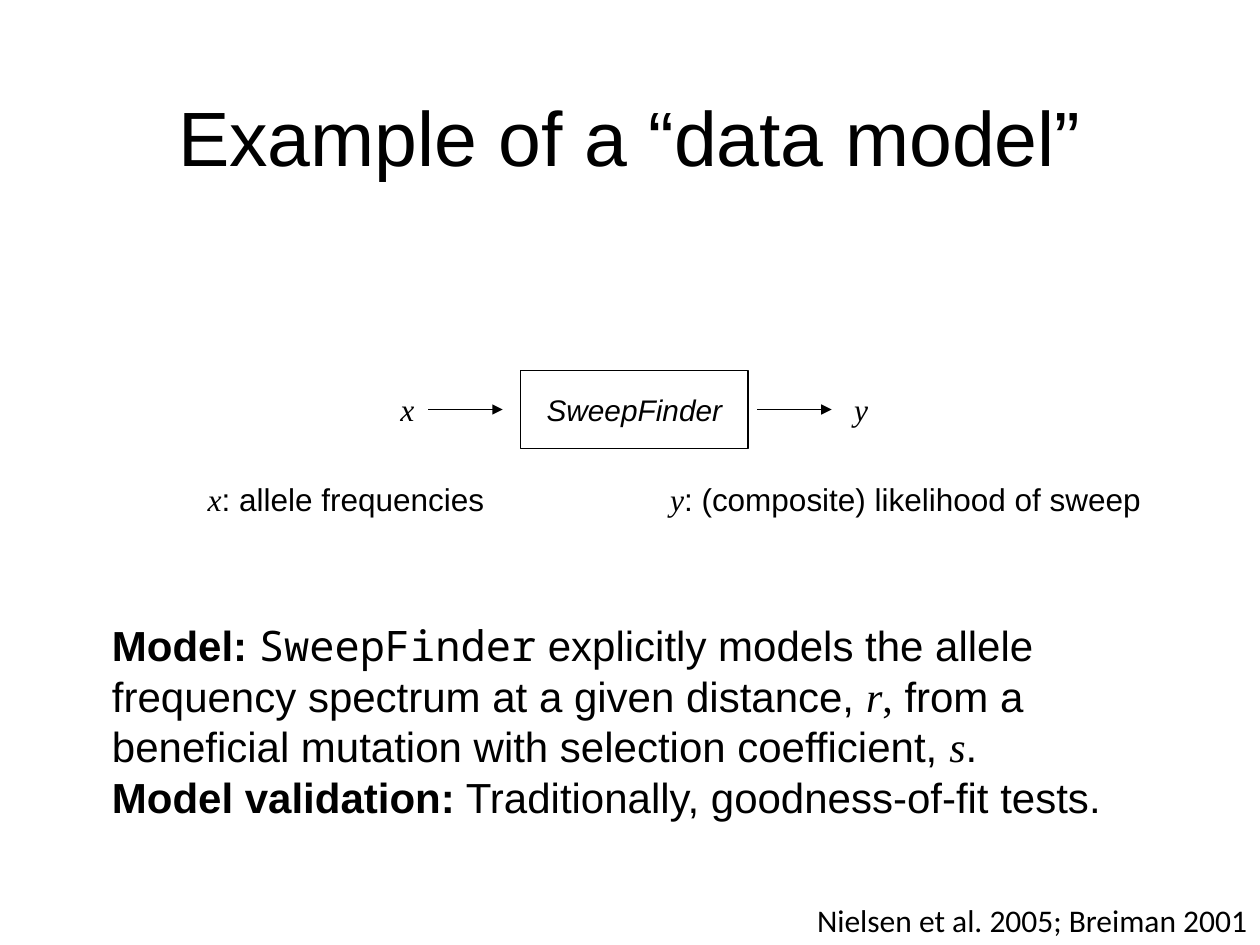
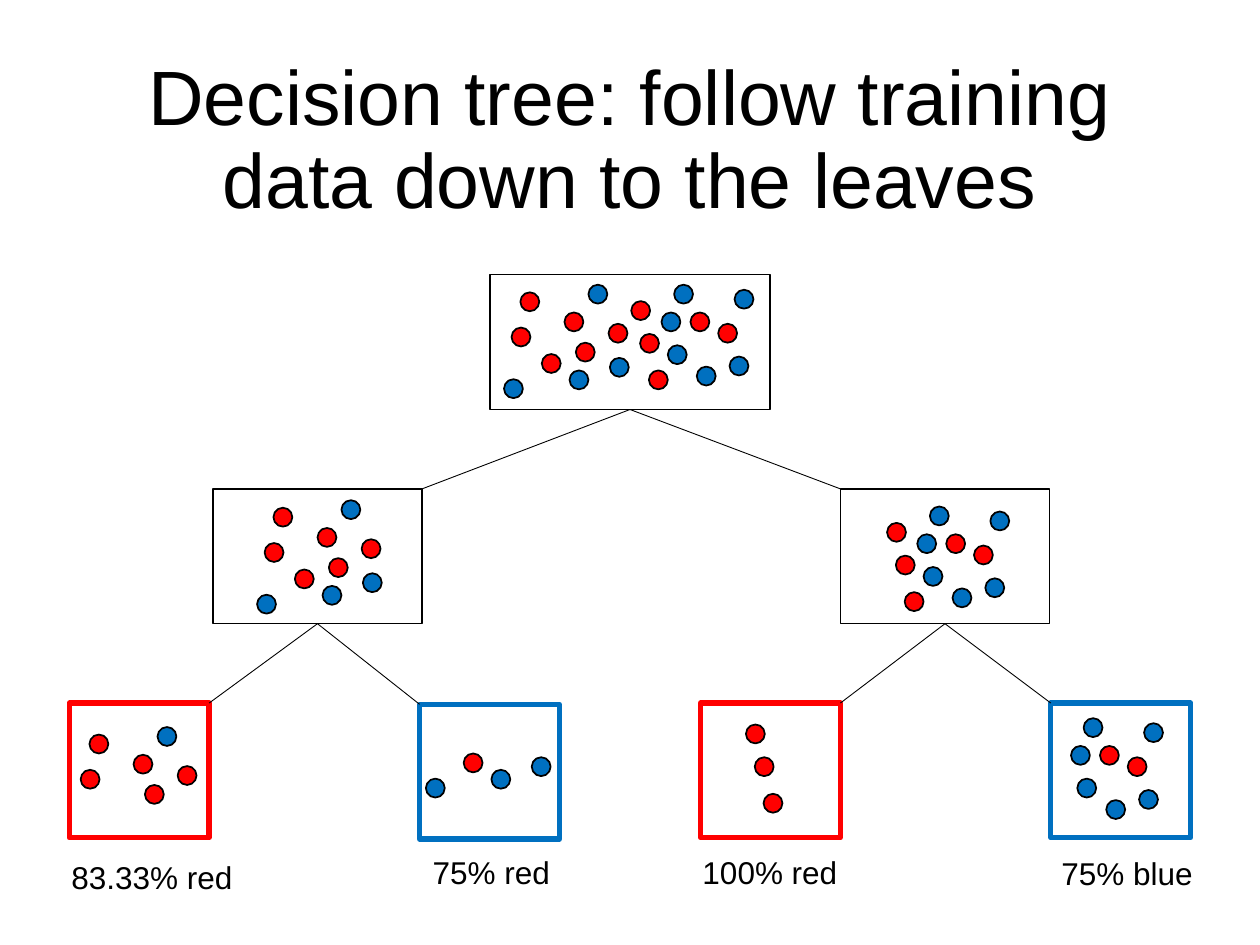
from lxml import etree
from pptx import Presentation
from pptx.dml.color import RGBColor
from pptx.enum import shapes, text
from pptx.oxml.ns import qn
from pptx.util import Pt

PX = 9144
BLACK, WHITE, RED, BLUE = "000000", "FFFFFF", "FF0000", "0070C0"
SANS, SERIF, MONO, FOOTER = "Arial", "Times New Roman", "Noto Sans Mono", "Calibri"
LEFT, CENTER, RIGHT = text.PP_ALIGN.LEFT, text.PP_ALIGN.CENTER, text.PP_ALIGN.RIGHT
color = RGBColor.from_string


def write(frame, lines, size, align=LEFT, wrap=False):
    frame.word_wrap = wrap
    for number, line in enumerate(lines):
        paragraph = frame.add_paragraph() if number else frame.paragraphs[0]
        paragraph.alignment = align
        for words, font, style in line:
            run = paragraph.add_run()
            run.text = words
            run.font.name = font
            run.font.size = Pt(size)
            run.font.bold = style == "bold"
            run.font.italic = style == "italic"
            run.font.color.rgb = color(BLACK)


def outline(item, line, width, fill=None):
    item.line.color.rgb = color(line)
    item.line.width = Pt(width)
    if fill:
        item.fill.solid()
        item.fill.fore_color.rgb = color(fill)
        item.shadow.inherit = False
    else:
        etree.SubElement(item._element.spPr, qn("a:effectLst"))


deck = Presentation()
deck.slide_width, deck.slide_height = 1000 * PX, 750 * PX
pages = []
for heading in ("Example of a “data model”", "Decision tree: follow training data down to the leaves"):
    page = deck.slides.add_slide(deck.slide_layouts[6])
    title = page.shapes.add_textbox(69 * PX, 40 * PX, 862 * PX, 145 * PX).text_frame
    write(title, [[(heading, SANS, "")]], 44, CENTER, True)
    title.vertical_anchor = text.MSO_ANCHOR.MIDDLE
    title.paragraphs[0].line_spacing = 0.9
    pages.append(page)
model, tree = pages

explanation = [
    [
        ("Model: ", SANS, "bold"),
        ("SweepFinder", MONO, ""),
        (" explicitly models the allele frequency spectrum at a given distance, ", SANS, ""),
        ("r", SERIF, "italic"),
        (",", SERIF, ""),
        (" from a beneficial mutation with selection coefficient, ", SANS, ""),
        ("s", SERIF, "italic"),
        (".", SANS, ""),
    ],
    [
        ("Model validation:", SANS, "bold"),
        (" Traditionally, goodness-of-fit tests.", SANS, ""),
    ],
]
x, y = ("x", SERIF, "italic"), ("y", SERIF, "italic")
for left, top, width, height, lines, size, align, wrap in (
    (634, 710, 366, 40, [[("Nielsen et al. 2005; Breiman 2001", FOOTER, "")]], 18, RIGHT, False),
    (79, 487, 852, 172, explanation, 24, LEFT, True),
    (155, 376, 242, 40, [[x, (": allele frequencies", SANS, "")]], 18, LEFT, False),
    (522, 376, 397, 40, [[y, (": (composite) likelihood of sweep", SANS, "")]], 18, LEFT, False),
    (308, 305, 31, 40, [[x]], 18, LEFT, False),
    (668, 305, 31, 40, [[y]], 18, LEFT, False),
):
    words = model.shapes.add_textbox(left * PX, top * PX, width * PX, height * PX)
    write(words.text_frame, lines, size, align, wrap)

finder = model.shapes.add_shape(shapes.MSO_SHAPE.RECTANGLE, 413 * PX, 294 * PX, 181 * PX, 62 * PX)
outline(finder, BLACK, 1, WHITE)
write(finder.text_frame, [[("SweepFinder", SANS, "italic")]], 17, CENTER)
finder.text_frame.vertical_anchor = text.MSO_ANCHOR.MIDDLE
for start in (340, 601):
    flow = model.shapes.add_connector(
        shapes.MSO_CONNECTOR.STRAIGHT, start * PX, 325 * PX, (start + 59) * PX, 325 * PX)
    outline(flow, BLACK, 0.5)
    etree.SubElement(flow._element.spPr.find(qn("a:ln")), qn("a:tailEnd"), type="triangle")

nodes = {}
for name, left, top, width, border, weight in (
    ("root", 389, 218, 222, BLACK, 1),
    ("left", 169, 388, 166, BLACK, 1),
    ("right", 667, 388, 166, BLACK, 1),
    ("leaf 1", 55, 558, 111, RED, 3),
    ("leaf 2", 333, 559, 111, BLUE, 3),
    ("leaf 3", 556, 558, 111, RED, 3),
    ("leaf 4", 834, 558, 111, BLUE, 3),
):
    nodes[name] = tree.shapes.add_shape(
        shapes.MSO_SHAPE.RECTANGLE, left * PX, top * PX, width * PX, 107 * PX)
    outline(nodes[name], border, weight, WHITE)

for parent_name, child_name in (
    ("root", "left"), ("root", "right"),
    ("left", "leaf 1"), ("left", "leaf 2"),
    ("right", "leaf 3"), ("right", "leaf 4"),
):
    parent, child = nodes[parent_name], nodes[child_name]
    corner = child.left if child.left > parent.left else child.left + child.width
    branch = tree.shapes.add_connector(
        shapes.MSO_CONNECTOR.STRAIGHT, parent.left, parent.top, corner, child.top)
    branch.begin_connect(parent, 2)
    outline(branch, BLACK, 0.5)

to_left, to_right = (-196, 171), (203, 176)
samples = (
    (to_left, (-342, 351),
     [(413, 232), (448, 248), (483, 257), (406, 260), (457, 272)],
     [(467, 226)]),
    (to_left, (-62, 317),
     [(430, 281)],
     [(484, 284), (400, 301), (452, 294)]),
    (to_right, (91, 336),
     [(501, 239), (508, 265), (515, 294)],
     []),
    (to_right, (325, 344),
     [(548, 248), (570, 257)],
     [(530, 274), (579, 283), (583, 230), (535, 226), (553, 291), (525, 248)]),
)
for to_child, to_leaf, reds, blues in samples:
    for dx, dy in ((0, 0), to_child, to_leaf):
        for fill, dots in ((RED, reds), (BLUE, blues)):
            for left, top in dots:
                dot = tree.shapes.add_shape(
                    shapes.MSO_SHAPE.OVAL, (left + dx) * PX, (top + dy) * PX, 15 * PX, 15 * PX)
                outline(dot, BLACK, 1, fill)

for share, left, top, width in (
    ("83.33% red", 46, 676, 149),
    ("75% red", 333, 672, 114),
    ("100% red", 547, 672, 128),
    ("75% blue", 832, 673, 125),
):
    purity = tree.shapes.add_textbox(left * PX, top * PX, width * PX, 40 * PX)
    write(purity.text_frame, [[(share, SANS, "")]], 18, CENTER)

deck.save("out.pptx")
